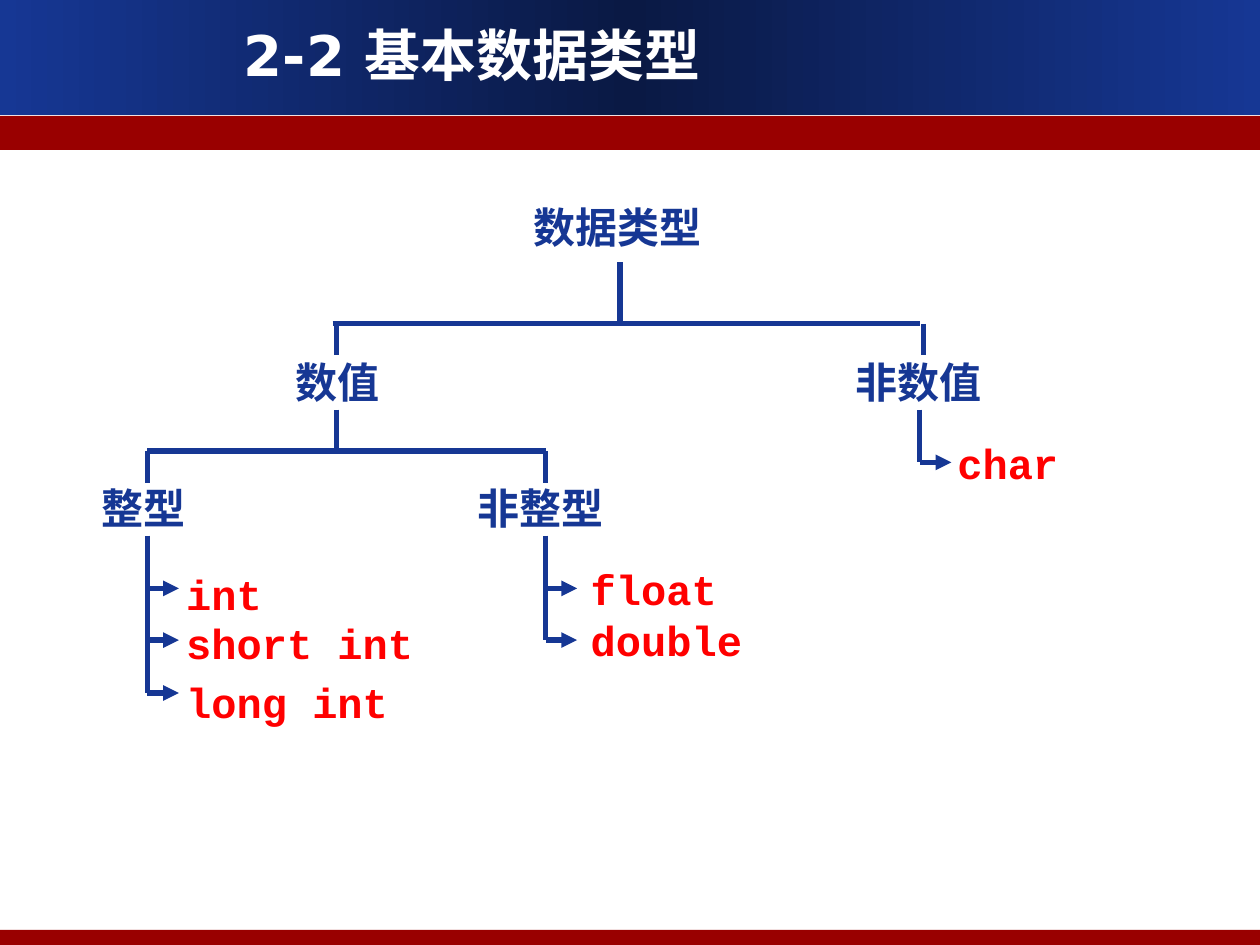
from copy import deepcopy
from itertools import pairwise

from lxml.etree import SubElement
from pptx import Presentation
from pptx.dml.color import RGBColor
from pptx.enum.shapes import MSO_CONNECTOR, MSO_SHAPE
from pptx.enum.text import MSO_ANCHOR, MSO_AUTO_SIZE, PP_ALIGN
from pptx.oxml.ns import qn
from pptx.util import Inches, Pt

COLORS = {
    "blue": "163794",
    "navy": "0A1944",
    "band": "990000",
    "leaf": "FF0000",
    "white": "FFFFFF",
}
CODE_FONT = "Courier New"
CHINESE_FONT = "Noto Sans CJK SC"
TITLE_FONT = "DejaVu Sans"


def color(name):
    """Return the named colour."""
    return RGBColor.from_string(COLORS[name])


def style_text(frame, text, size, font_name, color_name, align):
    """Write one bold line with matching Latin and Chinese fonts."""
    frame.text = text
    para = frame.paragraphs[0]
    para.alignment = align
    span = para.runs[0]
    span.font.size = Pt(size)
    span.font.bold = True
    span.font.name = font_name
    span.font.color.rgb = color(color_name)
    east_asian = SubElement(span.font._element, qn("a:ea"))
    east_asian.set("typeface", CHINESE_FONT)


def add_band(page, top, height, color_name):
    """Add a full-width band without outline."""
    band = page.shapes.add_shape(
        MSO_SHAPE.RECTANGLE, 0, Inches(top), Inches(10), Inches(height))
    band.shadow.inherit = False
    band.line.fill.background()
    band.fill.solid()
    band.fill.fore_color.rgb = color(color_name)
    return band


def shade_header(band):
    """Fade the header from blue to navy and back."""
    band.fill.gradient()
    band.fill.gradient_angle = 0
    stops = band.element.spPr.find(qn("a:gradFill")).find(qn("a:gsLst"))
    stops.append(deepcopy(stops[-1]))
    for stop, place, name in zip(
            band.fill.gradient_stops, (0, 0.5, 1), ("blue", "navy", "blue")):
        stop.position = place
        stop.color.rgb = color(name)


def add_frame(page):
    """Add the header, the red bands and the title."""
    shade_header(add_band(page, 0, 0.91, "blue"))
    add_band(page, 0.92, 0.27, "band")
    add_band(page, 7.38, 0.12, "band")
    title = page.shapes.title
    title.left, title.top = Inches(0), Inches(0)
    title.width, title.height = Inches(7.5), Inches(0.86)
    style_text(title.text_frame, "2-2 基本数据类型", 32, TITLE_FONT, "white",
               PP_ALIGN.CENTER)
    title.text_frame.vertical_anchor = MSO_ANCHOR.MIDDLE
    title.element.getparent().append(title.element)


def add_line(page, start, end, arrow=False):
    """Draw a blue line, with an arrowhead at its end if asked."""
    line = page.shapes.add_connector(
        MSO_CONNECTOR.STRAIGHT, *map(Inches, (*start, *end)))
    line.line.color.rgb = color("blue")
    line.line.width = Pt(3)
    if arrow:
        SubElement(line.line._ln, qn("a:tailEnd")).set("type", "triangle")
    SubElement(line.element.spPr, qn("a:effectLst"))


def add_label(page, left, top, width, text, font_name, color_name, align):
    """Add a one-line label that fits its text."""
    box = page.shapes.add_textbox(
        Inches(left), Inches(top), Inches(width), Inches(0.5))
    frame = box.text_frame
    frame.word_wrap = False
    frame.auto_size = MSO_AUTO_SIZE.SHAPE_TO_FIT_TEXT
    style_text(frame, text, 24, font_name, color_name, align)


def add_node(page, center, top, text):
    """Add a category name centred on its stem."""
    width = 0.2 + len(text) / 3
    add_label(page, center - width / 2, top, width, text, CHINESE_FONT,
              "blue", PP_ALIGN.CENTER)


def add_fork(page, trunk, top, rail, rail_ends, drops):
    """Join a parent to its children by a trunk, a rail and drops."""
    add_line(page, (trunk, top), (trunk, rail))
    add_line(page, (rail_ends[0], rail), (rail_ends[1], rail))
    for drop in drops:
        add_line(page, (drop, rail), (drop, rail + 0.25))


def add_leaves(page, stem, top, label_left, leaves):
    """Hang type names on a stem, given arrow and label offsets."""
    stops = [top, *(top + arrow for _, arrow, _ in leaves)]
    for start, end in pairwise(stops):
        add_line(page, (stem, start), (stem, end))
        add_line(page, (stem, end), (stem + 0.25, end), arrow=True)
    for text, _, offset in leaves:
        add_label(page, label_left, top + offset, 0.2 + 0.2 * len(text), text,
                  CODE_FONT, "leaf", PP_ALIGN.LEFT)


def add_tree(page):
    """Build the tree of data types."""
    add_fork(page, 4.92, 2.08, 2.57, (2.64, 7.3), (2.67, 7.33))
    add_fork(page, 2.67, 3.25, 3.58, (1.17, 4.33), (1.17, 4.33))
    for center, top, text in (
            (4.9, 1.55, "数据类型"),
            (2.68, 2.78, "数值"),
            (7.29, 2.78, "非数值"),
            (1.14, 3.78, "整型"),
            (4.29, 3.78, "非整型")):
        add_node(page, center, top, text)
    add_leaves(page, 1.17, 4.25, 1.38, (
        ("int", 0.42, 0.21),
        ("short int", 0.83, 0.6),
        ("long int", 1.25, 1.07)))
    add_leaves(page, 4.33, 4.25, 4.59, (
        ("float", 0.42, 0.17),
        ("double", 0.83, 0.58)))
    add_leaves(page, 7.3, 3.25, 7.5, (("char", 0.42, 0.17),))


def main():
    """Build and save the deck."""
    deck = Presentation()
    deck.slide_width, deck.slide_height = Inches(10), Inches(7.5)
    page = deck.slides.add_slide(deck.slide_layouts[5])
    page.background.fill.solid()
    page.background.fill.fore_color.rgb = color("white")
    add_frame(page)
    add_tree(page)
    deck.save("out.pptx")


if __name__ == "__main__":
    main()
